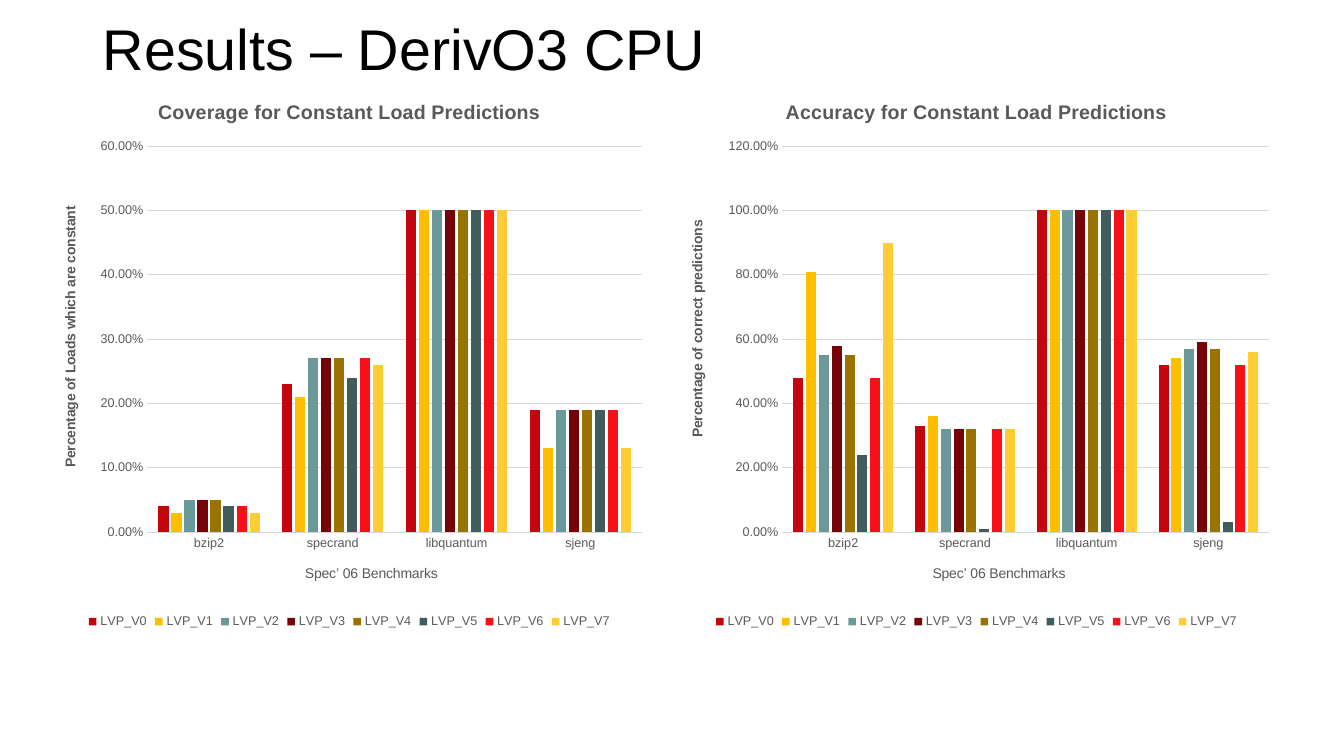
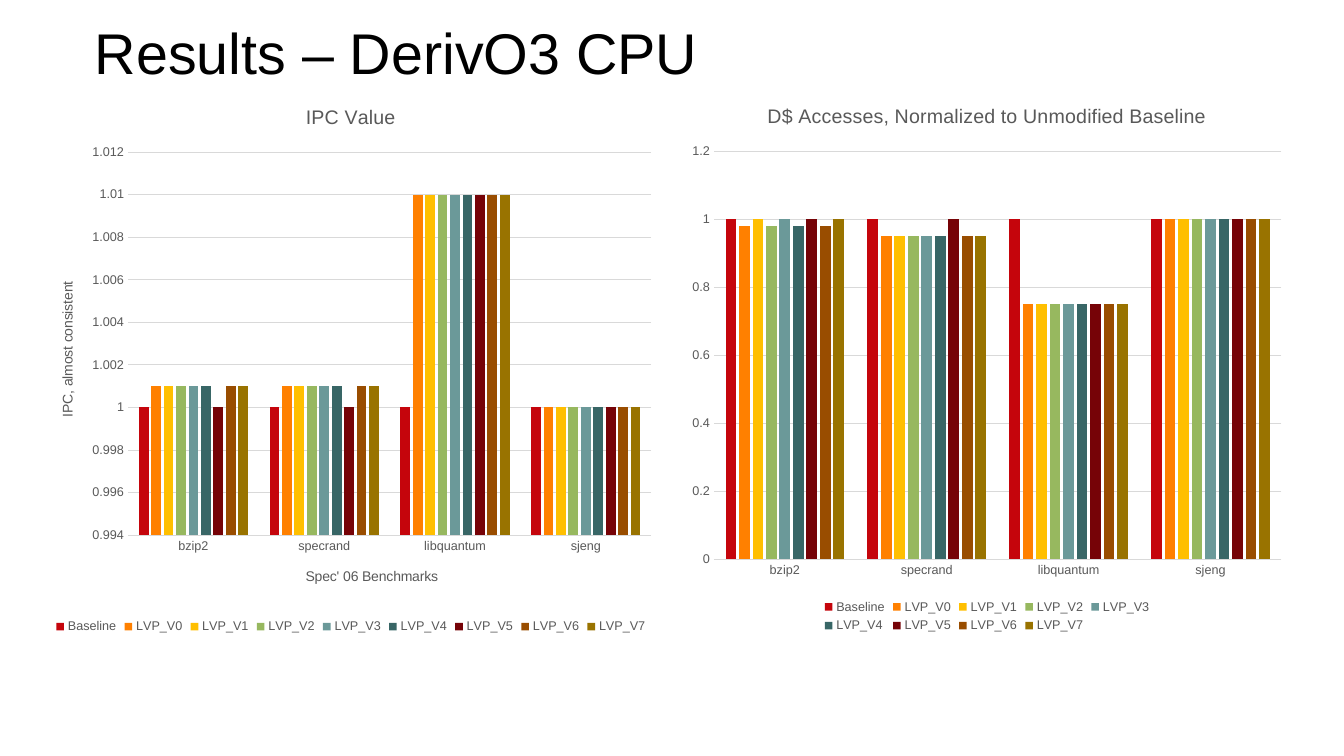
from lxml.etree import SubElement
from pptx import Presentation
from pptx.chart.data import CategoryChartData
from pptx.dml.color import RGBColor
from pptx.enum.chart import XL_CHART_TYPE, XL_LEGEND_POSITION, XL_TICK_MARK
from pptx.enum.text import MSO_ANCHOR, MSO_AUTO_SIZE, PP_ALIGN
from pptx.oxml.ns import qn
from pptx.util import Inches, Pt

FONT = "Arial"
BLACK, GREY, GRID = "000000", "595959", "D9D9D9"
BENCHMARKS = ["bzip2", "specrand", "libquantum", "sjeng"]
VERSIONS = [f"LVP_V{number}" for number in range(8)]
RATE_SERIES = list(zip(VERSIONS, [
    "C5050C", "FFBF00", "6B9999", "760307", "997300", "405C5C", "F90F17", "FFCC33"]))
BASELINE_SERIES = list(zip(["Baseline"] + VERSIONS, [
    "C5050C", "FF8000", "FFBF00", "97B85F", "6B9999", "386666", "760307", "994D00", "997300"]))

# Boxes are left, top, width, height in inches; each row of values is one benchmark.
SLIDES = [
    {
        "title": "Results – DerivO3 CPU", "title_box": (0.92, 0.14, 11.5, 0.75),
        "series": RATE_SERIES, "bold": True, "format": "0.00%",
        "charts": [
            {
                "title": "Coverage for Constant Load Predictions",
                "box": (0.44, 0.79, 6.05, 5.49), "plot": (1.46, 1.45, 4.91, 3.83),
                "x_title": "Spec’ 06 Benchmarks",
                "y_title": "Percentage of Loads which are constant",
                "y_title_corner": (0.58, 2.02),
                "scale": (0, 0.6, 0.1),
                "values": [
                    [0.04, 0.03, 0.05, 0.05, 0.05, 0.04, 0.04, 0.03],
                    [0.23, 0.21, 0.27, 0.27, 0.27, 0.24, 0.27, 0.26],
                    [0.5] * 8,
                    [0.19, 0.13, 0.19, 0.19, 0.19, 0.19, 0.19, 0.13],
                ],
            },
            {
                "title": "Accuracy for Constant Load Predictions",
                "box": (6.66, 0.79, 6.05, 5.49), "plot": (7.76, 1.45, 4.83, 3.83),
                "x_title": "Spec’ 06 Benchmarks",
                "y_title": "Percentage of correct predictions",
                "y_title_corner": (6.8, 2.16),
                "scale": (0, 1.2, 0.2),
                "values": [
                    [0.48, 0.81, 0.55, 0.58, 0.55, 0.24, 0.48, 0.9],
                    [0.33, 0.36, 0.32, 0.32, 0.32, 0.01, 0.32, 0.32],
                    [1] * 8,
                    [0.52, 0.54, 0.57, 0.59, 0.57, 0.03, 0.52, 0.56],
                ],
            },
        ],
    },
    {
        "title": "Results – DerivO3 CPU", "title_box": (0.84, 0.18, 11.5, 0.75),
        "series": BASELINE_SERIES, "bold": False, "format": "General",
        "charts": [
            {
                "title": "IPC Value",
                "box": (0.38, 0.84, 6.2, 5.49), "plot": (1.27, 1.51, 5.19, 3.8),
                "x_title": "Spec' 06 Benchmarks",
                "y_title": "IPC, almost consistent",
                "scale": (0.994, 1.012, 0.002),
                "values": [
                    [1] + [1.001] * 5 + [1, 1.001, 1.001],
                    [1] + [1.001] * 5 + [1, 1.001, 1.001],
                    [1] + [1.01] * 8,
                    [1] * 9,
                ],
            },
            {
                "title": "D$ Accesses, Normalized to Unmodified Baseline",
                "box": (6.75, 0.83, 6.08, 5.49), "plot": (7.08, 1.5, 5.63, 4.05),
                "scale": (0, 1.2, 0.2),
                "values": [
                    [1, 0.98, 1, 0.98, 1, 0.98, 1, 0.98, 1],
                    [1] + [0.95] * 5 + [1, 0.95, 0.95],
                    [1] + [0.75] * 8,
                    [1] * 9,
                ],
            },
        ],
    },
]


def color(hex_string):
    return RGBColor.from_string(hex_string)


def style_font(font, size, hex_string, bold=False):
    font.name, font.size, font.bold = FONT, Pt(size), bold
    font.color.rgb = color(hex_string)


def style_line(line, hex_string):
    line.width = Pt(0.75)
    line.color.rgb = color(hex_string)


def set_title(owner, text, size, bold=False):
    """Title a chart or an axis and return the text frame, if there is a text."""
    owner.has_title = bool(text)
    if text:
        title = owner.chart_title if hasattr(owner, "chart_title") else owner.axis_title
        title.text_frame.text = text
        style_font(title.text_frame.paragraphs[0].runs[0].font, size, GREY, bold)
        return title.text_frame


def place_part(layout, box, corner, size=None):
    """Fix a chart part, given in slide inches, as fractions of the chart box."""
    left, top, width, height = box
    settings = [("xMode", "edge"), ("yMode", "edge")]
    fractions = [("x", (corner[0] - left) / width), ("y", (corner[1] - top) / height)]
    if size:
        settings.insert(0, ("layoutTarget", "inner"))
        fractions += [("w", size[0] / width), ("h", size[1] / height)]
    settings += [(name, f"{value:.4f}") for name, value in fractions]
    manual = SubElement(layout, qn("c:manualLayout"))
    for name, value in settings:
        SubElement(manual, qn(f"c:{name}")).set("val", value)


def layout_of(element, position):
    """Return the layout child, adding it at the given position when missing."""
    layout = element.find(qn("c:layout"))
    if layout is None:
        layout = SubElement(element, qn("c:layout"))
        element.insert(position, layout)
    return layout


def style_axes(chart, content, bold, number_format):
    category_axis, value_axis = chart.category_axis, chart.value_axis
    for axis in (category_axis, value_axis):
        axis.major_tick_mark = axis.minor_tick_mark = XL_TICK_MARK.NONE
        style_font(axis.tick_labels.font, 9, GREY)
    style_line(category_axis.format.line, GRID)
    set_title(category_axis, content.get("x_title"), 10)

    value_axis.minimum_scale, value_axis.maximum_scale, value_axis.major_unit = content["scale"]
    value_axis.has_major_gridlines = True
    style_line(value_axis.major_gridlines.format.line, GRID)
    value_axis.format.line.fill.background()
    value_axis.tick_labels.number_format = number_format
    value_axis.tick_labels.number_format_is_linked = False
    text_frame = set_title(value_axis, content.get("y_title"), 10, bold)
    if text_frame:
        text_frame._txBody.bodyPr.set("rot", "-5400000")
    if "y_title_corner" in content:
        title = value_axis.axis_title._element
        place_part(layout_of(title, 1), content["box"], content["y_title_corner"])


def add_column_chart(slide, content, series_styles, bold, number_format):
    data = CategoryChartData(number_format=number_format)
    data.categories = BENCHMARKS
    for (name, _), values in zip(series_styles, zip(*content["values"])):
        data.add_series(name, values)
    chart = slide.shapes.add_chart(
        XL_CHART_TYPE.COLUMN_CLUSTERED, *map(Inches, content["box"]), data).chart
    style_font(chart.font, 10, BLACK)
    set_title(chart, content["title"], 14, bold)
    style_axes(chart, content, bold, number_format)

    columns = chart.plots[0]
    columns.gap_width, columns.overlap, columns.vary_by_categories = 219, -27, False
    for series, (_, hex_string) in zip(columns.series, series_styles):
        series.format.fill.solid()
        series.format.fill.fore_color.rgb = color(hex_string)
        series.invert_if_negative = False

    chart.has_legend = True
    chart.legend.position = XL_LEGEND_POSITION.BOTTOM
    chart.legend.include_in_layout = False
    style_font(chart.legend.font, 9, GREY)
    plot_area = chart._chartSpace.chart.plotArea
    place_part(layout_of(plot_area, 0), content["box"], content["plot"][:2], content["plot"][2:])


def add_slide(presentation, content):
    slide = presentation.slides.add_slide(presentation.slide_layouts[5])
    title = slide.shapes.title
    title.left, title.top, title.width, title.height = map(Inches, content["title_box"])
    text_frame = title.text_frame
    text_frame.text = content["title"]
    text_frame.auto_size = MSO_AUTO_SIZE.NONE
    text_frame.vertical_anchor = MSO_ANCHOR.MIDDLE
    paragraph = text_frame.paragraphs[0]
    paragraph.alignment, paragraph.line_spacing = PP_ALIGN.LEFT, 0.9
    style_font(paragraph.runs[0].font, 41, BLACK)
    for chart in content["charts"]:
        add_column_chart(slide, chart, content["series"], content["bold"], content["format"])


def main():
    presentation = Presentation()
    presentation.slide_width, presentation.slide_height = Inches(13.33), Inches(7.5)
    for content in SLIDES:
        add_slide(presentation, content)
    presentation.save("out.pptx")


if __name__ == "__main__":
    main()
